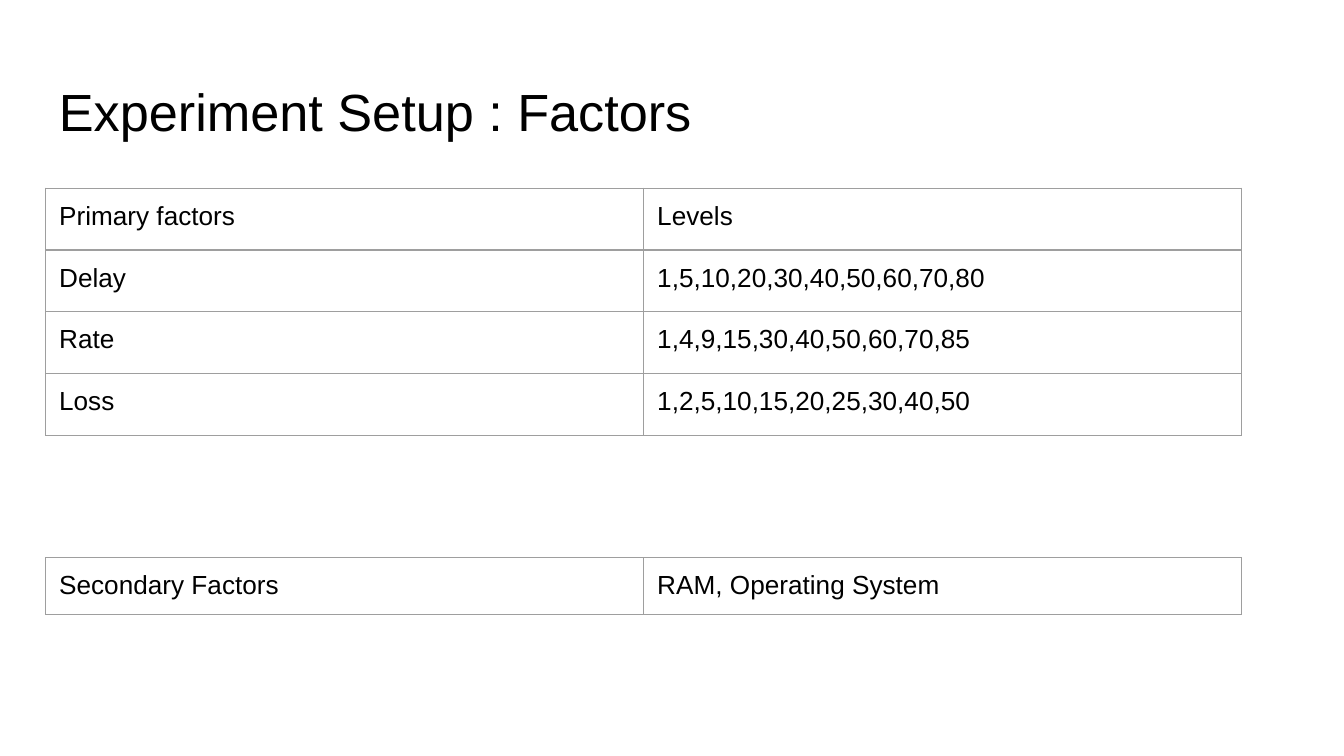
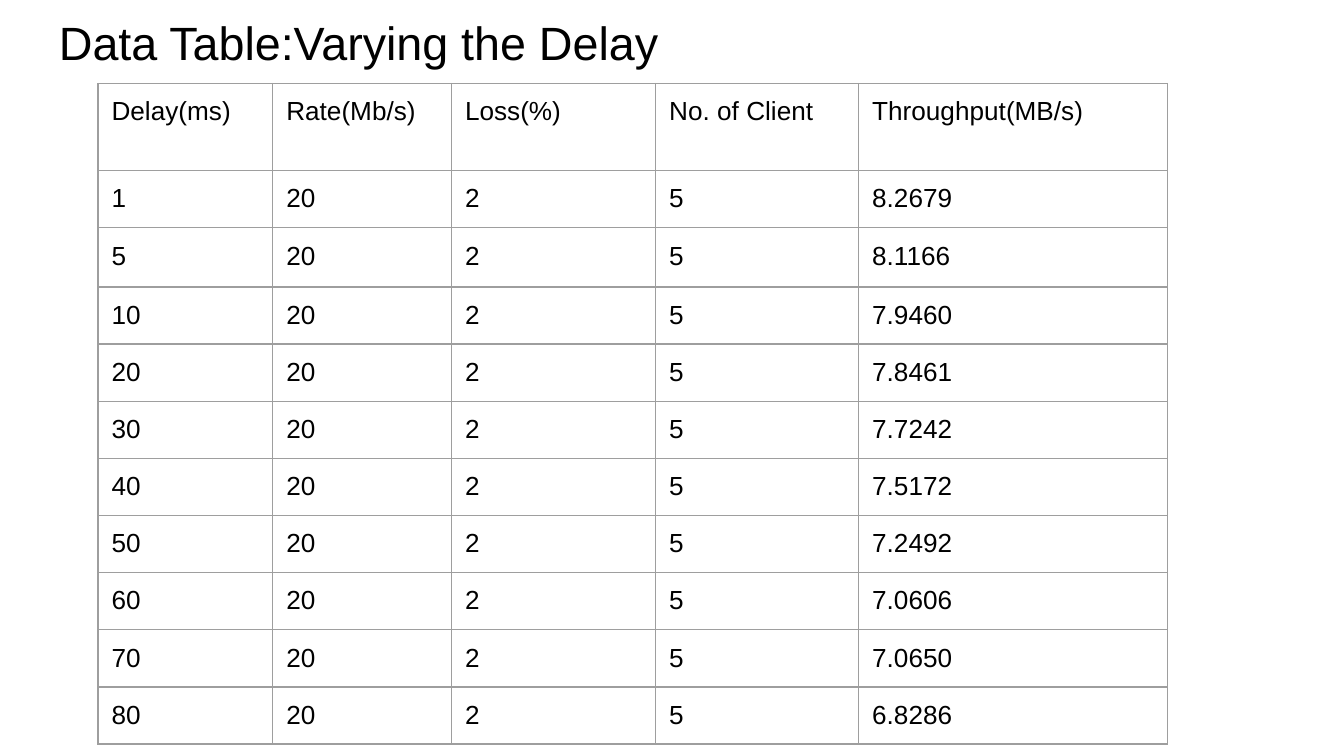
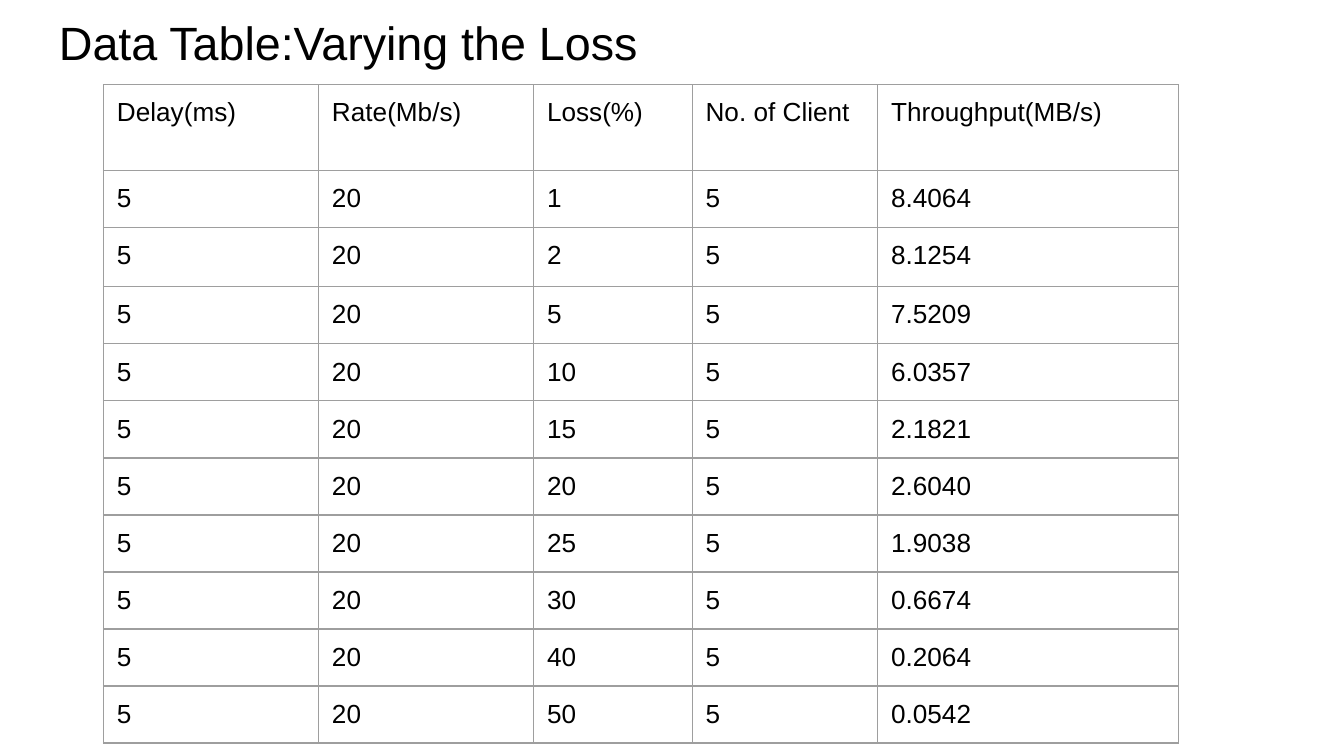
import lxml.etree
import pptx
import pptx.dml.color
import pptx.enum.text
import pptx.oxml.ns
import pptx.util

Inches = pptx.util.Inches
COLORS = {"background": "FFFFFF", "text": "000000", "border": "9E9E9E"}
FONT = "Arial"
BORDER_PT = 0.75
INSETS = {f"margin_{side}": Inches(0.1) for side in ("left", "right", "top", "bottom")}
CELL_INSETS = {**INSETS, "margin_bottom": Inches(0.09)}
TITLE_LEFT, TITLE_WIDTH = 0.34, 9.32
HEADER = ["Delay(ms)", "Rate(Mb/s)", "Loss(%)", "No. of Client", "Throughput(MB/s)"]
RATE, CLIENTS, FIXED_LOSS, FIXED_DELAY = "20", "5", "2", "5"

FACTORS = [
    ["Primary factors", "Levels"],
    ["Delay", "1,5,10,20,30,40,50,60,70,80"],
    ["Rate", "1,4,9,15,30,40,50,60,70,85"],
    ["Loss", "1,2,5,10,15,20,25,30,40,50"],
]
SECONDARY = [["Secondary Factors", "RAM, Operating System"]]
THROUGHPUT_BY_DELAY = {
    "1": "8.2679", "5": "8.1166", "10": "7.9460", "20": "7.8461", "30": "7.7242",
    "40": "7.5172", "50": "7.2492", "60": "7.0606", "70": "7.0650", "80": "6.8286",
}
THROUGHPUT_BY_LOSS = {
    "1": "8.4064", "2": "8.1254", "5": "7.5209", "10": "6.0357", "15": "2.1821",
    "20": "2.6040", "25": "1.9038", "30": "0.6674", "40": "0.2064", "50": "0.0542",
}


def rgb(name):
    """Return the named colour."""
    return pptx.dml.color.RGBColor.from_string(COLORS[name])


def set_all(obj, values):
    """Set each attribute in values on obj."""
    for name, value in values.items():
        setattr(obj, name, value)


def write(tf, text, size):
    """Write one run of text in the shared style."""
    p = tf.paragraphs[0]
    r = p.add_run()
    r.text = text
    set_all(r.font, {"name": FONT, "size": pptx.util.Pt(size), "bold": False})
    r.font.color.rgb = rgb("text")


def add_slide(prs, title, top, height, size):
    """Add a blank slide with its title."""
    s = prs.slides.add_slide(prs.slide_layouts[6])
    s.background.fill.solid()
    s.background.fill.fore_color.rgb = rgb("background")
    sp = s.shapes.add_textbox(
        Inches(TITLE_LEFT), Inches(top), Inches(TITLE_WIDTH), Inches(height))
    tf = sp.text_frame
    set_all(tf, {"word_wrap": True,
                 "vertical_anchor": pptx.enum.text.MSO_ANCHOR.TOP, **INSETS})
    write(tf, title, size)
    return s


def add_borders(cell):
    """Draw the thin border on all four sides of a cell."""
    tc_pr = cell._tc.get_or_add_tcPr()
    qn = pptx.oxml.ns.qn
    for i, side in enumerate("LRTB"):
        ln = lxml.etree.Element(qn(f"a:ln{side}"), w=str(pptx.util.Pt(BORDER_PT)))
        fill = lxml.etree.SubElement(ln, qn("a:solidFill"))
        lxml.etree.SubElement(fill, qn("a:srgbClr"), val=COLORS["border"])
        tc_pr.insert(i, ln)


def add_grid(s, left, top, widths, heights, rows):
    """Add a plain bordered table."""
    table = s.shapes.add_table(
        len(rows), len(widths), Inches(left), Inches(top),
        Inches(sum(widths)), Inches(sum(heights))).table
    set_all(table, {"first_row": False, "horz_banding": False})
    for column, width in zip(table.columns, widths):
        column.width = Inches(width)
    for row, height, texts in zip(table.rows, heights, rows):
        row.height = Inches(height)
        for cell, text in zip(row.cells, texts):
            set_all(cell, CELL_INSETS)
            cell.fill.background()
            add_borders(cell)
            write(cell.text_frame, text, 14)


def add_results(s, left, top, bottom, widths, header_height, rows):
    """Add a results table whose body rows share the height down to bottom."""
    tall = 0.44
    body = (bottom - top - header_height - tall) / (len(rows) - 1)
    heights = [header_height, body, tall] + [body] * (len(rows) - 2)
    add_grid(s, left, top, widths, heights, [HEADER] + rows)


def main():
    """Build the three slides."""
    prs = pptx.Presentation()
    width = Inches(10)
    set_all(prs, {"slide_width": width, "slide_height": width * 9 // 16})

    s = add_slide(prs, "Experiment Setup : Factors", 0.49, 0.63, 28)
    add_grid(s, 0.34, 1.4, [4.45] * 2, [0.46] * len(FACTORS), FACTORS)
    add_grid(s, 0.34, 4.15, [4.45] * 2, [0.42], SECONDARY)

    s = add_slide(prs, "Data Table:Varying the Delay", 0, 0.77, 25)
    add_results(s, 0.73, 0.62, 5.54, [1.3, 1.33, 1.52, 1.51, 2.3], 0.65,
                [[delay, RATE, FIXED_LOSS, CLIENTS, throughput]
                 for delay, throughput in THROUGHPUT_BY_DELAY.items()])

    s = add_slide(prs, "Data Table:Varying the Loss", 0, 0.63, 25)
    add_results(s, 0.77, 0.63, 5.53, [1.6, 1.6, 1.18, 1.38, 2.24], 0.64,
                [[FIXED_DELAY, RATE, loss, CLIENTS, throughput]
                 for loss, throughput in THROUGHPUT_BY_LOSS.items()])

    prs.save("out.pptx")


if __name__ == "__main__":
    main()
